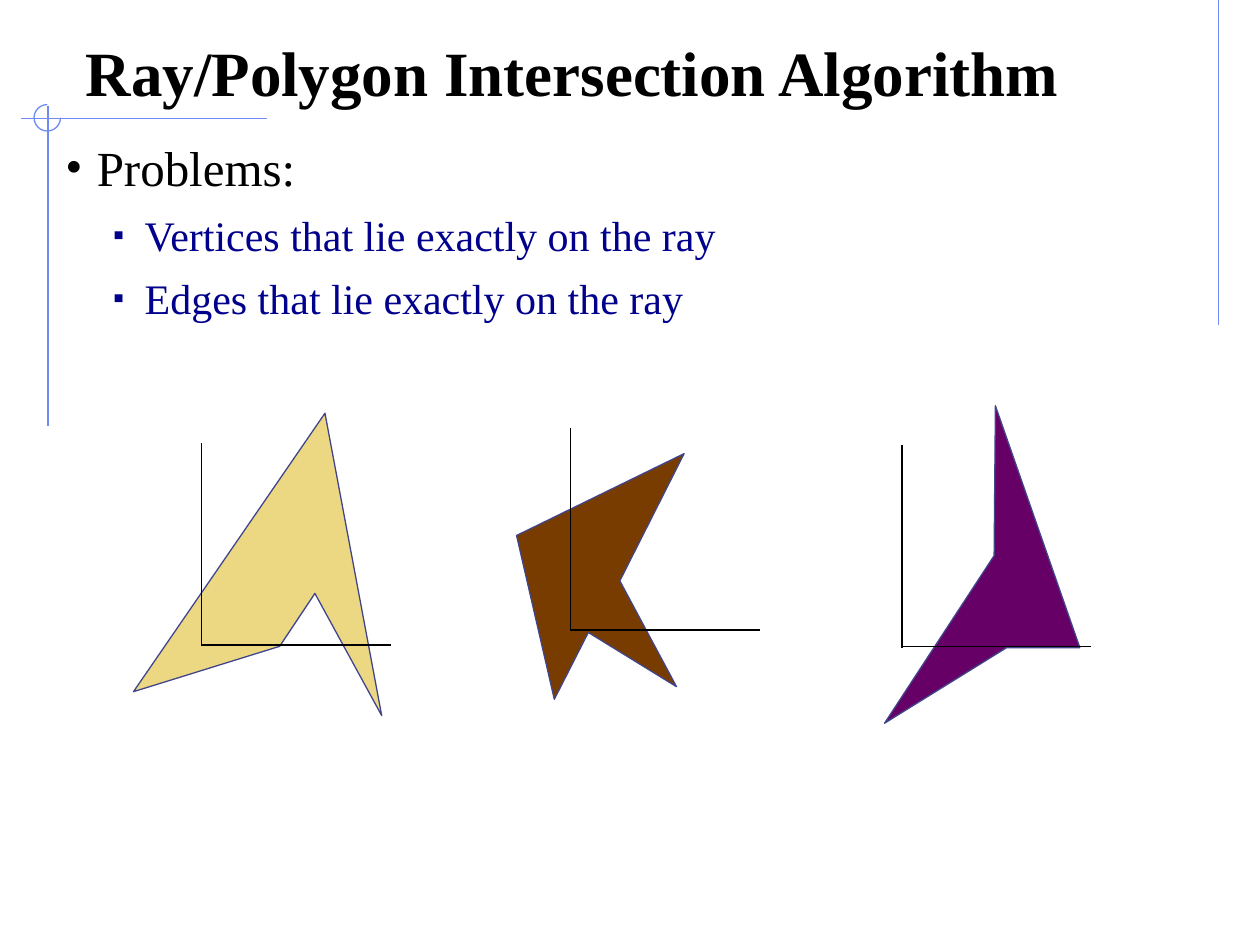
"""Builds a slide on problem cases of the ray/polygon intersection test."""
from lxml.etree import SubElement
from pptx import Presentation
from pptx.dml.color import RGBColor
from pptx.enum.shapes import MSO_CONNECTOR, MSO_SHAPE
from pptx.enum.text import MSO_ANCHOR, PP_ALIGN
from pptx.oxml.ns import qn
from pptx.util import Inches, Pt

INK = {"black": "000000", "navy": "00008C", "rule": "6F89F7", "edge": "40458C",
       "brown": "783C00", "sand": "ECD882", "plum": "660066"}
FONT = "Times New Roman"
COLS, ROWS = 10, 7.5

RULES = [(9.67, 0, 9.67, 2.58), (2.12, 0.94, 0.17, 0.94), (0.38, 0.84, 0.38, 3.38)]
ITEMS = [("Problems:", 0), ("Vertices that lie exactly on the ray", 1),
         ("Edges that lie exactly on the ray", 1)]
LEVELS = [dict(size=28, ink="black", mark="•", scale=100, indent=0.25, gap=0),
          dict(size=24, ink="navy", mark="▪", scale=75, indent=0.63, gap=7.5)]
CASES = [
    ("brown", (4.53, 5), [(4.1, 4.25), (4.4, 5.55), (4.67, 5.02), (5.37, 5.45),
                          (4.92, 4.61), (5.43, 3.6)]),
    ("sand", (1.6, 5.12), [(1.06, 5.49), (2.22, 5.13), (2.5, 4.71), (3.03, 5.68),
                           (2.58, 3.28)]),
    ("plum", (7.16, 5.13), [(7.89, 4.41), (7.02, 5.74), (7.99, 5.14), (8.57, 5.14),
                            (7.9, 3.22)]),
]


class Board:
    """Holds the style and the current slide on a grid of COLS by ROWS."""

    def __init__(self):
        self.deck = Presentation()
        self.deck.slide_width = Inches(COLS)
        self.deck.slide_height = Inches(ROWS)
        self.slide = self.deck.slides.add_slide(self.deck.slide_layouts[5])
        self.shapes = self.slide.shapes
        self.unit = self.deck.slide_width / COLS

    def grid(self, *cells):
        """Turn grid lengths into slide lengths."""
        return [round(cell * self.unit) for cell in cells]

    def font(self, par, size, ink, bold=False):
        """Set the font of a whole paragraph."""
        par.font.name, par.font.size, par.font.bold = FONT, Pt(size), bold
        par.font.color.rgb = RGBColor.from_string(INK[ink])

    def stroke(self, line, ink):
        """Style a thin line."""
        line.color.rgb = RGBColor.from_string(INK[ink])
        line.width = Pt(0.75)

    def title(self, text, *box):
        """Place and fill the title."""
        shape = self.shapes.title
        shape.left, shape.top, shape.width, shape.height = self.grid(*box)
        frame = shape.text_frame
        frame.text = text
        frame.vertical_anchor = MSO_ANCHOR.BOTTOM
        par = frame.paragraphs[0]
        par.alignment = PP_ALIGN.LEFT
        self.font(par, 36, "black", True)

    def bullet(self, par, level):
        """Give a paragraph its hanging indent and mark."""
        props = par._p.get_or_add_pPr()
        props.set("marL", str(Inches(level["indent"])))
        props.set("indent", str(-Inches(0.25)))
        color = SubElement(props, qn("a:buClr"))
        SubElement(color, qn("a:srgbClr"), val=INK[level["ink"]])
        SubElement(props, qn("a:buSzPct"), val=str(level["scale"] * 1000))
        SubElement(props, qn("a:buFont"), typeface=FONT)
        SubElement(props, qn("a:buChar"), char=level["mark"])

    def outline(self, items, *box):
        """Add a bulleted list."""
        frame = self.shapes.add_textbox(*self.grid(*box)).text_frame
        frame.word_wrap = True
        frame.margin_top = Inches(0.09)
        for i, (text, depth) in enumerate(items):
            par = frame.add_paragraph() if i else frame.paragraphs[0]
            level = LEVELS[depth]
            par.text, par.level = text, depth
            self.bullet(par, level)
            par.space_before = Pt(level["gap"])
            self.font(par, level["size"], level["ink"])

    def line(self, ink, *ends):
        """Draw a straight line."""
        link = self.shapes.add_connector(MSO_CONNECTOR.STRAIGHT, *self.grid(*ends))
        self.stroke(link.line, ink)
        SubElement(link._element.spPr, qn("a:effectLst"))

    def arc(self, ink, *box):
        """Draw three quarters of a circle, open at the top right."""
        shape = self.shapes.add_shape(MSO_SHAPE.ARC, *self.grid(*box))
        shape.adjustments[0], shape.adjustments[1] = 0, 162
        shape.shadow.inherit = False
        shape.fill.background()
        self.stroke(shape.line, ink)

    def shape(self, ink, points):
        """Draw a filled polygon."""
        start, *rest = [self.grid(*point) for point in points]
        path = self.shapes.build_freeform(*start)
        path.add_line_segments(rest, close=True)
        form = path.convert_to_shape()
        form.shadow.inherit = False
        form.fill.solid()
        form.fill.fore_color.rgb = RGBColor.from_string(INK[ink])
        self.stroke(form.line, "edge")

    def axes(self, x, y):
        """Draw a pair of axes that meet at a corner."""
        self.line("black", x, y - 1.6, x, y + 0.01)
        self.line("black", x, y, x + 1.5, y)


def main():
    """Build and save the slide."""
    board = Board()
    for ends in RULES:
        board.line("rule", *ends)
    board.arc("rule", 0.27, 0.83, 0.21, 0.21)
    board.title("Ray/Polygon Intersection Algorithm", 0.58, 0.25, 8.83, 0.67)
    board.outline(ITEMS, 0.42, 1, 9.17, 2.69)
    for ink, corner, points in CASES:
        board.shape(ink, points)
        board.axes(*corner)
    board.deck.save("out.pptx")


if __name__ == "__main__":
    main()
